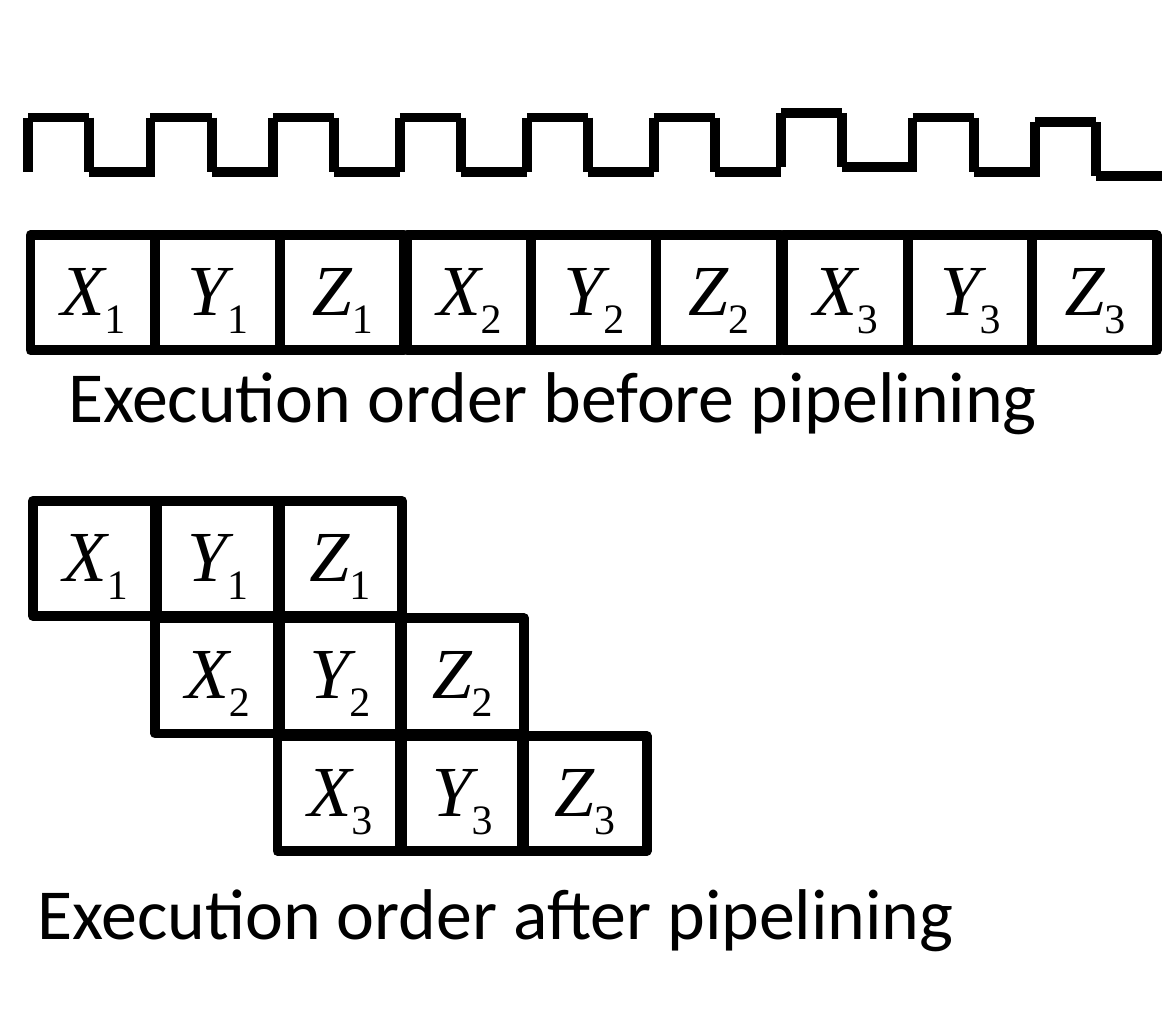
from pptx import Presentation
from pptx.dml.color import RGBColor
from pptx.enum.shapes import MSO_CONNECTOR, MSO_SHAPE
from pptx.enum.text import MSO_ANCHOR, PP_ALIGN
from pptx.util import Inches, Pt
from lxml import etree

RECT = MSO_SHAPE.RECTANGLE
STRAIGHT = MSO_CONNECTOR.STRAIGHT
MIDDLE = MSO_ANCHOR.MIDDLE
CENTER = PP_ALIGN.CENTER

COLORS = {"ink": "000000"}
INK = RGBColor.from_string(COLORS["ink"])
SIZE = Pt(22)
STROKE = Pt(3)
STAGES = "XYZ"
CELL_W, CELL_H = 0.53, 0.49

# Left edge and vertical shift of each clock pulse
PULSES = [(0.12, 0), (0.64, 0), (1.16, 0), (1.7, 0), (2.24, 0),
          (2.78, 0), (3.32, -0.02), (3.88, 0), (4.4, 0.02)]


def set_frame(frame):
    frame.margin_left = frame.margin_right = Inches(0.05)
    frame.margin_top = frame.margin_bottom = Inches(0.03)


def set_font(font, name):
    font.name = name
    font.size = SIZE
    font.color.rgb = INK


def add_cell(slide, left, top, stage, item):
    """Draw one box holding a stage letter with its item as subscript."""
    box = slide.shapes.add_shape(
        RECT, Inches(left), Inches(top), Inches(CELL_W), Inches(CELL_H))
    box.shadow.inherit = False
    box.fill.background()
    box.line.color.rgb = INK
    box.line.width = STROKE
    frame = box.text_frame
    set_frame(frame)
    frame.vertical_anchor = MIDDLE
    frame.word_wrap = False
    para = frame.paragraphs[0]
    para.alignment = CENTER
    set_font(para.font, "Times New Roman")
    letter = para.add_run()
    letter.text = stage
    letter.font.italic = True
    index = para.add_run()
    index.text = str(item)
    index.font._element.set("baseline", "-25000")


def add_stages(slide, left, top, step, item):
    for col, stage in enumerate(STAGES):
        add_cell(slide, left + col * step, top, stage, item)


def add_line(slide, start, end):
    line = slide.shapes.add_connector(
        STRAIGHT, *(Inches(n) for n in (*start, *end)))
    line.line.color.rgb = INK
    line.line.width = STROKE
    props = line._element.spPr
    tag = "{http://schemas.openxmlformats.org/drawingml/2006/main}effectLst"
    etree.SubElement(props, tag)


def add_pulse(slide, left, shift):
    """Draw one clock cycle: rise, high, fall and low."""
    high, low = 0.5 + shift, 0.73 + shift
    mid, right = left + 0.26, left + 0.54
    add_line(slide, (left, low), (left, high))
    add_line(slide, (left, high), (mid, high))
    add_line(slide, (mid, high), (mid, low))
    add_line(slide, (mid, low), (right, low))


def add_label(slide, left, top, width, text):
    box = slide.shapes.add_textbox(
        Inches(left), Inches(top), Inches(width), Inches(0.42))
    frame = box.text_frame
    set_frame(frame)
    frame.word_wrap = True
    para = frame.paragraphs[0]
    para.text = text
    set_font(para.font, "Calibri")


def main():
    deck = Presentation()
    deck.slide_width, deck.slide_height = Inches(5), Inches(4.3)
    slide = deck.slides.add_slide(deck.slide_layouts[6])

    for row in range(3):
        add_stages(slide, 0.13 + row * 1.6, 1, 0.53, row + 1)
        add_stages(slide, 0.14 + row * 0.52, 2.13 + row * 0.5, 0.52, row + 1)

    for left, shift in PULSES:
        add_pulse(slide, left, shift)

    add_label(slide, 0.24, 1.46, 4.54, "Execution order before pipelining")
    add_label(slide, 0.11, 3.66, 4.57, "Execution order after pipelining")
    deck.save("out.pptx")


if __name__ == "__main__":
    main()
